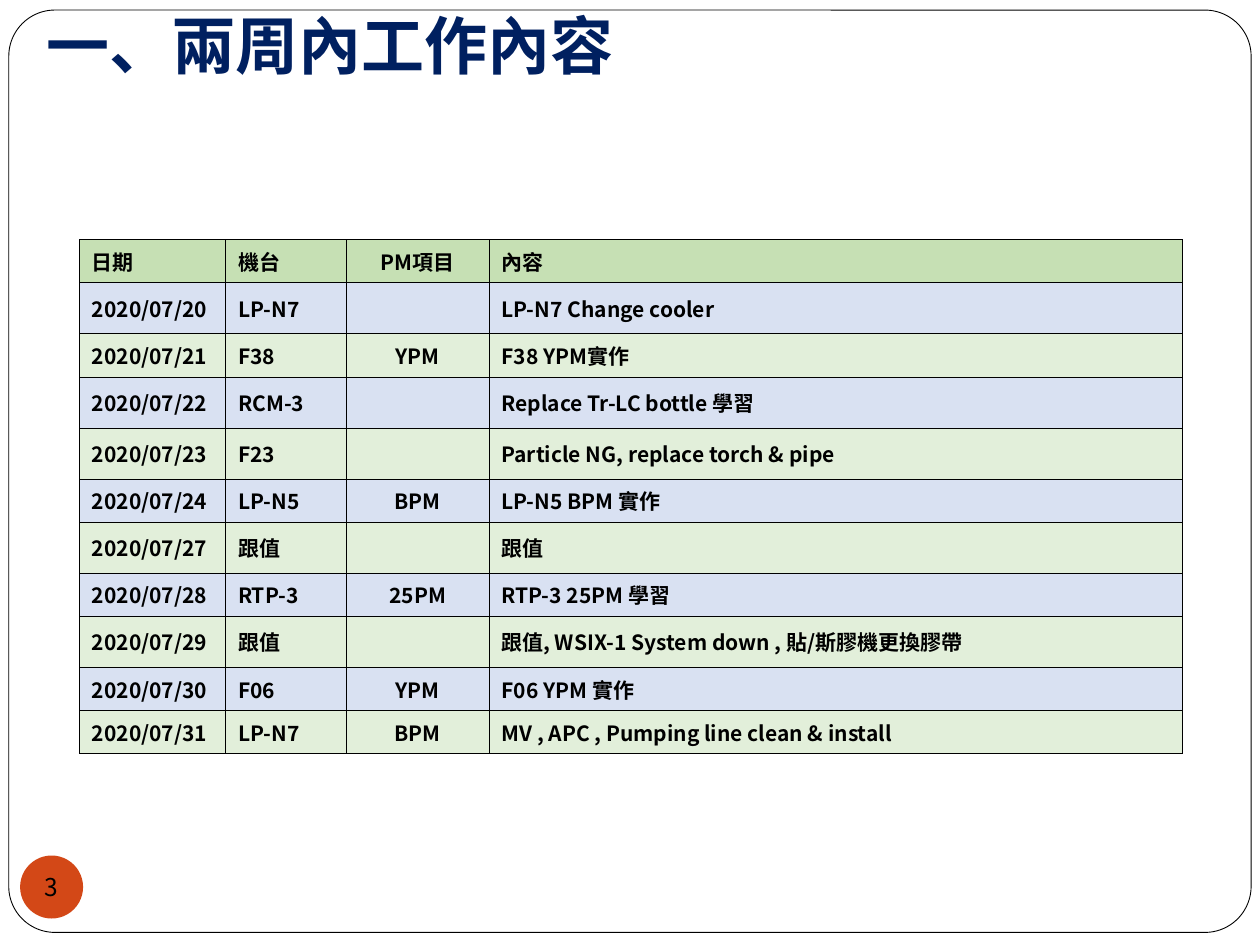
from pptx import Presentation
from pptx.dml.color import RGBColor
from pptx.enum.shapes import MSO_SHAPE
from pptx.enum.text import MSO_ANCHOR, MSO_AUTO_SIZE, PP_ALIGN
from pptx.oxml.ns import qn
from pptx.util import Inches, Pt
from lxml.etree import SubElement

FONT = "Noto Sans CJK SC"
HEADER_FILL = "C6E0B4"
BAND_FILLS = ["D9E1F2", "E2EFDA"]
COLUMN_WIDTHS = [1.16, 0.96, 1.13, 5.5]
ROW_HEIGHT = 0.34
PM_COLUMN = 2
WORK_LOG = [
    ("日期", "機台", "PM項目", "內容"),
    ("2020/07/20", "LP-N7", "", "LP-N7 Change cooler"),
    ("2020/07/21", "F38", "YPM", "F38 YPM實作"),
    ("2020/07/22", "RCM-3", "", "Replace Tr-LC bottle 學習"),
    ("2020/07/23", "F23", "", "Particle NG, replace torch & pipe"),
    ("2020/07/24", "LP-N5", "BPM", "LP-N5 BPM 實作"),
    ("2020/07/27", "跟值", "", "跟值"),
    ("2020/07/28", "RTP-3", "25PM", "RTP-3 25PM 學習"),
    ("2020/07/29", "跟值", "", "跟值, WSIX-1 System down , 貼/斯膠機更換膠帶"),
    ("2020/07/30", "F06", "YPM", "F06 YPM 實作"),
    ("2020/07/31", "LP-N7", "BPM", "MV , APC , Pumping line clean & install"),
]


def color(hex_value):
    return RGBColor.from_string(hex_value)


def write_text(frame, text, size=12, fill="000000", bold=False, align=PP_ALIGN.LEFT):
    paragraph = frame.paragraphs[0]
    paragraph.alignment = align
    run = paragraph.add_run()
    run.text = text
    run.font.size = Pt(size)
    run.font.bold = bold
    run.font.color.rgb = color(fill)
    run.font.name = FONT
    SubElement(run.font._element, qn("a:ea"), typeface=FONT)


def add_panel(slide, preset, left, top, width, height, fill):
    panel = slide.shapes.add_shape(
        preset, Inches(left), Inches(top), Inches(width), Inches(height))
    panel.shadow.inherit = False
    panel.fill.solid()
    panel.fill.fore_color.rgb = color(fill)
    return panel


def add_frame(slide):
    frame = add_panel(slide, MSO_SHAPE.ROUNDED_RECTANGLE, 0.07, 0.08, 9.86, 7.32, "FFFFFF")
    frame.adjustments[0] = 0.05
    frame.line.color.rgb = color("000000")
    frame.line.width = Pt(0.5)


def add_page_number(slide, number):
    badge = add_panel(slide, MSO_SHAPE.OVAL, 0.16, 6.79, 0.5, 0.5, "D34817")
    badge.line.fill.background()
    text = badge.text_frame
    text.margin_left = text.margin_right = text.margin_top = text.margin_bottom = 0
    text.word_wrap = False
    text.vertical_anchor = MSO_ANCHOR.MIDDLE
    write_text(text, number, size=14, align=PP_ALIGN.CENTER)


def set_borders(cell, line_color, width):
    properties = cell._tc.get_or_add_tcPr()
    for position, side in enumerate(("a:lnL", "a:lnR", "a:lnT", "a:lnB")):
        border = SubElement(properties, qn(side), w=str(Pt(width)))
        fill = SubElement(border, qn("a:solidFill"))
        SubElement(fill, qn("a:srgbClr"), val=line_color)
        properties.insert(position, border)


def add_work_table(slide):
    work_table = slide.shapes.add_table(
        len(WORK_LOG), len(COLUMN_WIDTHS), Inches(0.63), Inches(1.9),
        Inches(sum(COLUMN_WIDTHS)), Inches(ROW_HEIGHT * len(WORK_LOG))).table
    work_table.horz_banding = False
    for column, width in zip(work_table.columns, COLUMN_WIDTHS):
        column.width = Inches(width)
    for row_index, entry in enumerate(WORK_LOG):
        work_table.rows[row_index].height = Inches(ROW_HEIGHT)
        row_fill = BAND_FILLS[(row_index - 1) % 2] if row_index else HEADER_FILL
        for column_index, text in enumerate(entry):
            cell = work_table.cell(row_index, column_index)
            cell.fill.solid()
            cell.fill.fore_color.rgb = color(row_fill)
            cell.vertical_anchor = MSO_ANCHOR.MIDDLE
            set_borders(cell, "000000", 0.23)
            if text:
                align = PP_ALIGN.CENTER if column_index == PM_COLUMN else PP_ALIGN.LEFT
                write_text(cell.text_frame, text, bold=True, align=align)


def place_title(slide, text):
    title = slide.shapes.title
    title.left, title.top = Inches(0.27), Inches(0)
    title.width, title.height = Inches(4.73), Inches(0.7)
    title.text_frame.vertical_anchor = MSO_ANCHOR.TOP
    title.text_frame.auto_size = MSO_AUTO_SIZE.SHAPE_TO_FIT_TEXT
    write_text(title.text_frame, text, size=36, fill="002060", bold=True)
    slide.shapes._spTree.append(title._element)


def main():
    presentation = Presentation()
    presentation.slide_width = Inches(10)
    presentation.slide_height = Inches(7.5)
    slide = presentation.slides.add_slide(presentation.slide_layouts[5])
    add_frame(slide)
    add_page_number(slide, "3")
    add_work_table(slide)
    place_title(slide, "一、兩周內工作內容")
    presentation.save("out.pptx")


if __name__ == "__main__":
    main()
